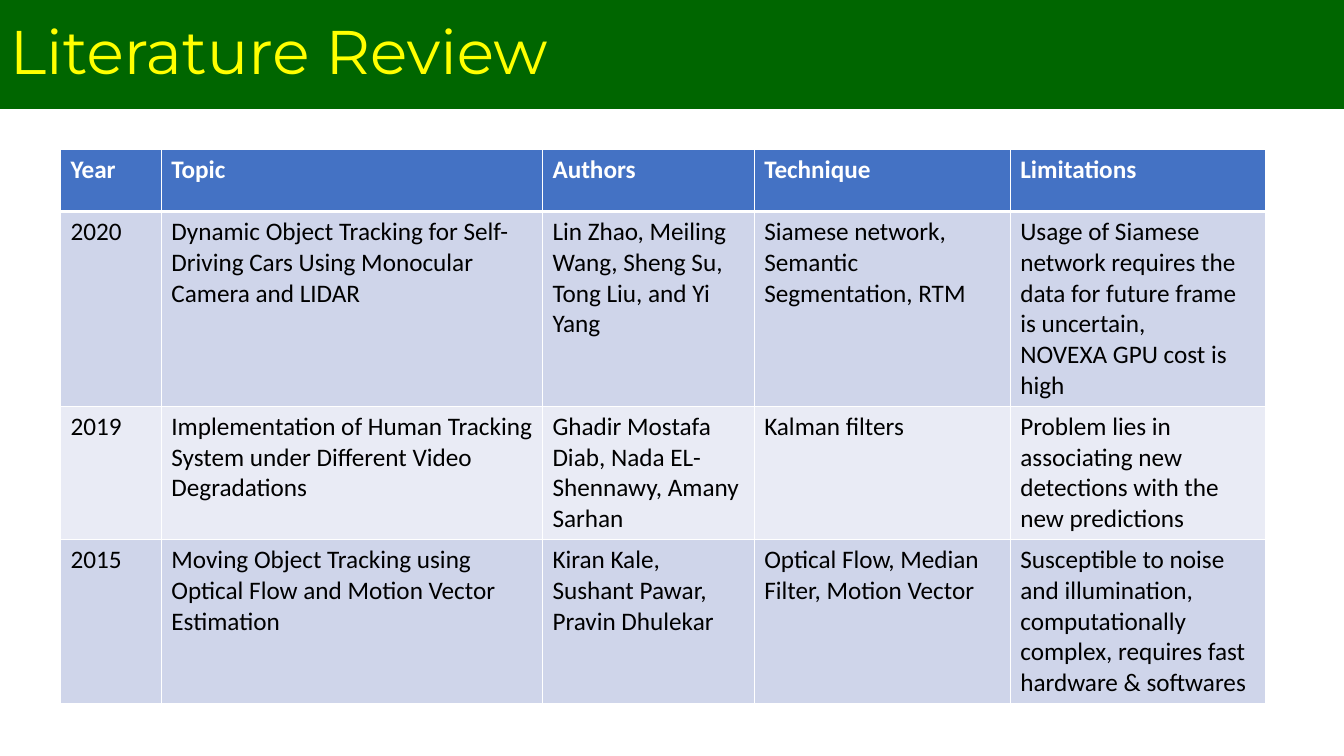
import pptx
import pptx.util
import pptx.dml.color
import pptx.enum.shapes
import pptx.enum.text
import pptx.oxml
import pptx.oxml.ns

PX = 9144  # 100 px to the inch
FONT_TITLE, FONT_TABLE = "Montserrat", "Calibri"
COLORS = {
    "banner": "006600", "title": "FFFF00", "header": "4472C4",
    "band_dark": "CFD5EA", "band_light": "E9EBF5",
    "white": "FFFFFF", "text": "000000",
}
COLUMN_WIDTHS = [100, 378, 210, 254, 253]
HEADER_HEIGHT, ROW_HEIGHT = 62, 107
REVIEW = [
    ["Year", "Topic", "Authors", "Technique", "Limitations"],
    ["2020",
     "Dynamic Object Tracking for Self-Driving Cars Using Monocular Camera and LIDAR",
     "Lin Zhao, Meiling Wang, Sheng Su, Tong Liu, and Yi Yang",
     "Siamese network, Semantic Segmentation, RTM",
     "Usage of Siamese network requires the data for future frame is uncertain,\n"
     "NOVEXA GPU cost is high"],
    ["2019",
     "Implementation of Human Tracking System under Different Video Degradations",
     "Ghadir Mostafa Diab, Nada EL-Shennawy, Amany Sarhan",
     "Kalman filters",
     "Problem lies in associating new detections with the new predictions"],
    ["2015",
     "Moving Object Tracking using Optical Flow and Motion Vector Estimation",
     "Kiran Kale, Sushant Pawar, Pravin Dhulekar",
     "Optical Flow, Median Filter, Motion Vector",
     "Susceptible to noise and illumination, computationally complex, "
     "requires fast hardware & softwares"],
]


def px(*lengths):
    return [pptx.util.Emu(n * PX) for n in lengths]


def rgb(name):
    return pptx.dml.color.RGBColor.from_string(COLORS[name])


def format_runs(tf, font, size, color, bold=False):
    for p in tf.paragraphs:
        for r in p.runs:
            r.font.name = font
            r.font.size = pptx.util.Pt(size)
            r.font.bold = bold
            r.font.color.rgb = rgb(color)


def set_borders(cell, widths):
    """Draw white borders; widths maps each side to points."""
    tc_pr = cell._tc.get_or_add_tcPr()
    for i, (side, width) in enumerate(widths.items()):
        tc_pr.insert(i, pptx.oxml.parse_xml(
            f'<a:ln{side} {pptx.oxml.ns.nsdecls("a")} w="{pptx.util.Pt(width)}">'
            f'<a:solidFill><a:srgbClr val="{COLORS["white"]}"/></a:solidFill>'
            f'</a:ln{side}>'))


def add_banner(s, left, top, width, height):
    banner = s.shapes.add_shape(
        pptx.enum.shapes.MSO_SHAPE.RECTANGLE, *px(left, top, width, height))
    banner.shadow.inherit = False
    banner.fill.solid()
    banner.fill.fore_color.rgb = rgb("banner")
    banner.line.fill.background()
    tf = banner.text_frame
    tf.word_wrap = True
    tf.vertical_anchor = pptx.enum.text.MSO_ANCHOR.MIDDLE
    tf.text = "Literature Review"
    p = tf.paragraphs[0]
    p.alignment = pptx.enum.text.PP_ALIGN.LEFT
    p.line_spacing = 0.9
    format_runs(tf, FONT_TITLE, 44, "title")


def add_review_table(s, left, top, width, height):
    frame = s.shapes.add_table(
        len(REVIEW), len(COLUMN_WIDTHS), *px(left, top, width, height))
    table = frame.table
    for column, column_width in zip(table.columns, px(*COLUMN_WIDTHS)):
        column.width = column_width
    for i, row in enumerate(table.rows):
        row.height = px(HEADER_HEIGHT if i == 0 else ROW_HEIGHT)[0]
    frame.height = px(height)[0]  # rows grow with their text

    for i, texts in enumerate(REVIEW):
        is_header = i == 0
        band = "header" if is_header else "band_dark" if i % 2 else "band_light"
        for j, text in enumerate(texts):
            cell = table.cell(i, j)
            cell.text_frame.text = text
            format_runs(cell.text_frame, FONT_TABLE, 18,
                        "white" if is_header else "text", is_header)
            cell.fill.solid()
            cell.fill.fore_color.rgb = rgb(band)
            # The rule below the header is thicker
            set_borders(cell, {"L": 1, "R": 1, "T": 3 if i == 1 else 1,
                               "B": 3 if is_header else 1})


def main():
    prs = pptx.Presentation()
    prs.slide_width, prs.slide_height = px(1333, 750)
    s = prs.slides.add_slide(prs.slide_layouts[6])
    add_review_table(s, 60, 148, sum(COLUMN_WIDTHS), 542)
    add_banner(s, 0, 0, 1333, 108)
    prs.save("out.pptx")


if __name__ == "__main__":
    main()
